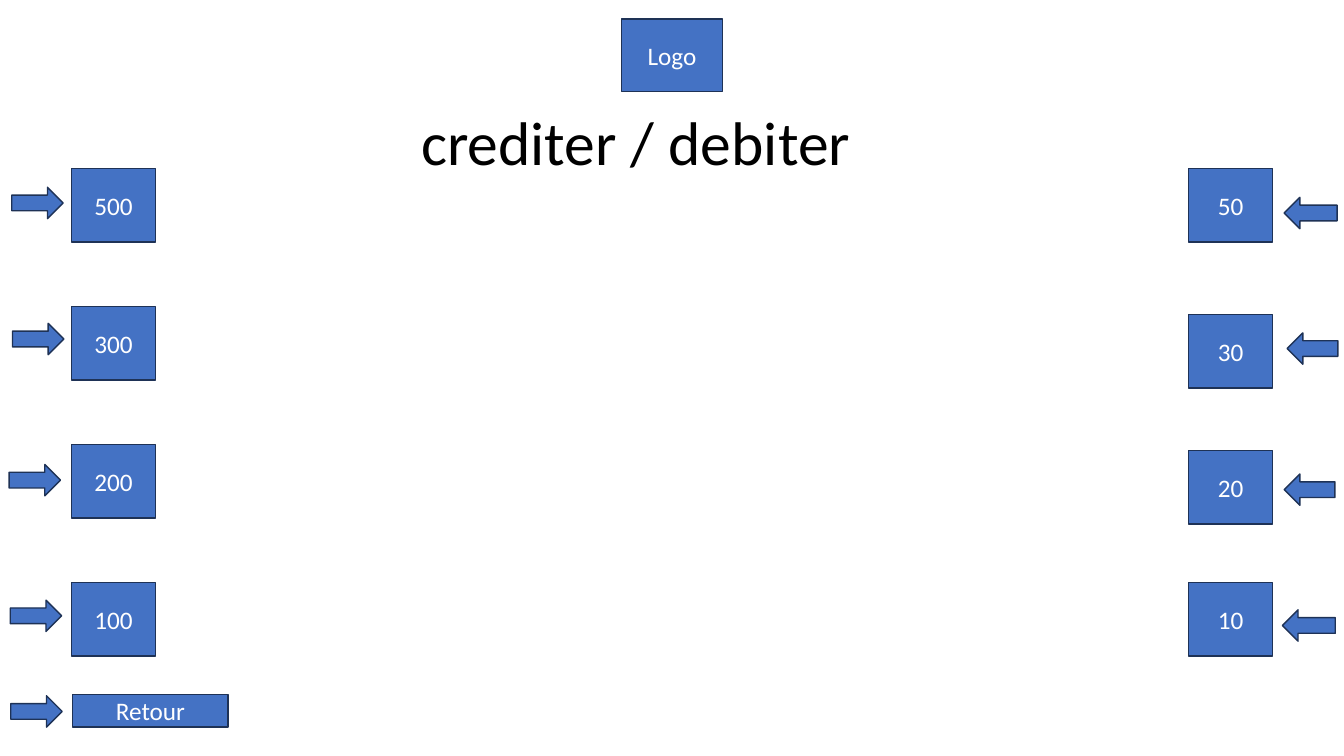
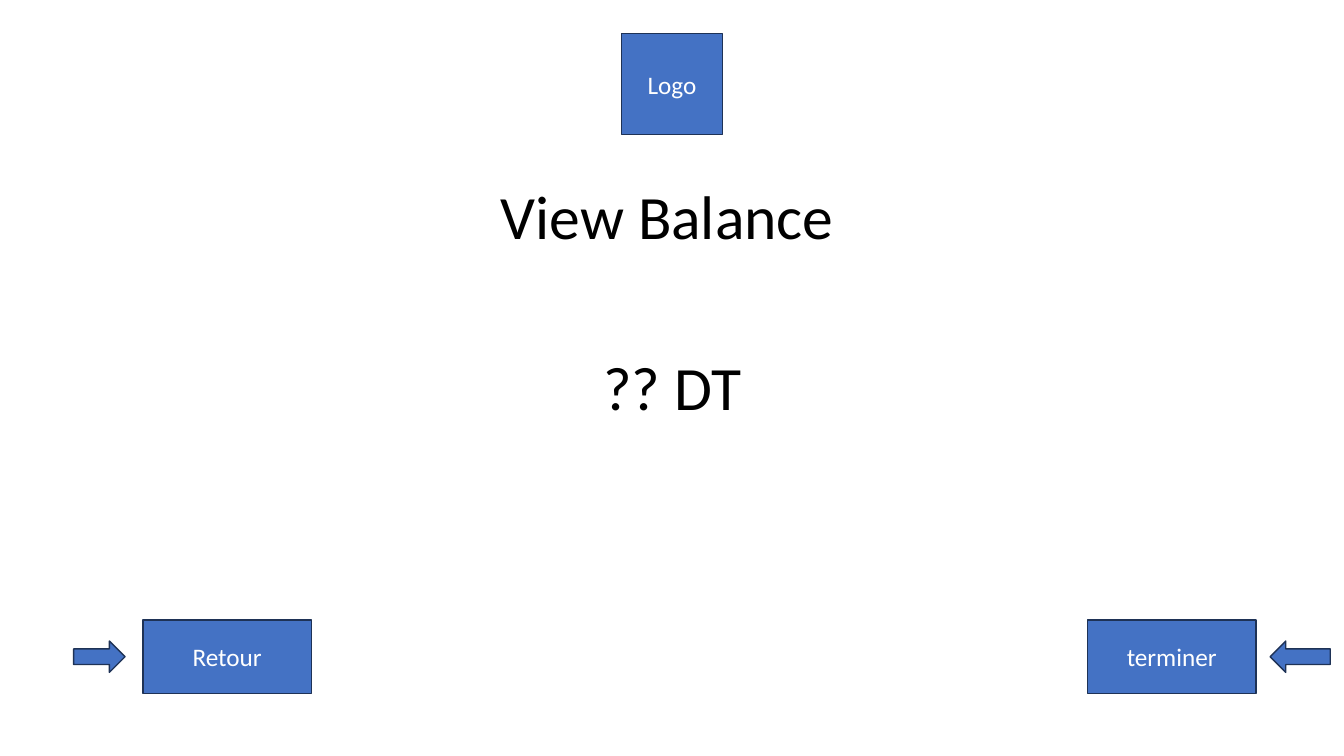
"""Build the two cash machine screens: amount choice and balance."""
from dataclasses import dataclass

from pptx import Presentation
from pptx.dml.color import RGBColor
from pptx.enum import shapes, text
from pptx.util import Pt


@dataclass(frozen=True)
class Theme:
    font: str = "Calibri"
    fill: str = "4472C4"
    line: str = "1E3256"
    light: str = "FFFFFF"
    dark: str = "000000"
    label: int = 18
    title: int = 44
    line_width: int = 1


THEME = Theme()
WIDTH, HEIGHT = 960, 540
LOGO_W, BUTTON_H, ARROW_H, TITLE_H = 72, 52.6, 22.4, 104.4
AMOUNT_W, ARROW_W, CHOICE_W = 60, 36.7, 120.2
LEFT_X, RIGHT_X = 51, 849
FIRST_Y, ROW_STEP = 120.2, 98.6
BALANCE_X, BALANCE_W, CHOICE_Y = 350.6, 259.2, 442.8

LEFT_AMOUNTS = ["500", "300", "200", "100"]
RIGHT_AMOUNTS = [("50", FIRST_Y), ("30", 224.6), ("20", 321.8),
                 ("10", FIRST_Y + 3 * ROW_STEP)]
LEFT_ARROWS = [(8.4, 133.8), (8.9, 231), (6.5, 331.8), (7.3, 428.7), (7.7, 497)]
RIGHT_ARROWS = [(917.3, 141, 37.8), (919.4, 237.8, 36.2),
                (917.3, 338.6, 36.2), (916, 435.6, 37.8)]
BALANCE_TEXTS = [("View Balance", 104.4, "LEFT"), ("?? DT", 226.8, "CENTER")]
CHOICES = [("Retour", 102.2), ("terminer", 776.9)]


def write(sp, words, size=THEME.label, color=THEME.light, align="CENTER", spacing=1.0):
    tf = sp.text_frame
    tf.word_wrap = True
    tf.vertical_anchor = text.MSO_ANCHOR.MIDDLE
    p = tf.paragraphs[0]
    p.alignment = getattr(text.PP_ALIGN, align)
    p.line_spacing = spacing
    r = p.add_run()
    r.text = words
    r.font.name, r.font.size = THEME.font, Pt(size)
    r.font.color.rgb = RGBColor.from_string(color)


def add_block(s, kind, x, y, w, h):
    sp = s.shapes.add_shape(kind, Pt(x), Pt(y), Pt(w), Pt(h))
    sp.shadow.inherit = False
    sp.fill.solid()
    sp.fill.fore_color.rgb = RGBColor.from_string(THEME.fill)
    sp.line.color.rgb = RGBColor.from_string(THEME.line)
    sp.line.width = Pt(THEME.line_width)
    return sp


def add_button(s, words, x, y, w, h=BUTTON_H):
    write(add_block(s, shapes.MSO_SHAPE.RECTANGLE, x, y, w, h), words)


def add_arrow(s, x, y, w=ARROW_W, kind=shapes.MSO_SHAPE.RIGHT_ARROW):
    add_block(s, kind, x, y, w, ARROW_H)


def add_title(s, words, x, y, w, align="LEFT"):
    sp = s.shapes.add_textbox(Pt(x), Pt(y), Pt(w), Pt(TITLE_H))
    write(sp, words, size=THEME.title, color=THEME.dark, align=align, spacing=0.9)


def add_screen(prs, logo_y, logo_h):
    s = prs.slides.add_slide(prs.slide_layouts[6])
    add_button(s, "Logo", (WIDTH - LOGO_W) / 2, logo_y, LOGO_W, logo_h)
    return s


def build_amounts(prs):
    s = add_screen(prs, 13.5, 52)
    add_title(s, "crediter / debiter", 293.8, 51.8, 444.2)
    for i, amount in enumerate(LEFT_AMOUNTS):
        add_button(s, amount, LEFT_X, FIRST_Y + i * ROW_STEP, AMOUNT_W)
    for amount, y in RIGHT_AMOUNTS:
        add_button(s, amount, RIGHT_X, y, AMOUNT_W)
    add_button(s, "Retour", 52, 496.2, 111, 23)
    for x, y in LEFT_ARROWS:
        add_arrow(s, x, y)
    for x, y, w in RIGHT_ARROWS:
        add_arrow(s, x, y, w, shapes.MSO_SHAPE.LEFT_ARROW)


def build_balance(prs):
    s = add_screen(prs, 24, LOGO_W)
    for words, y, align in BALANCE_TEXTS:
        add_title(s, words, BALANCE_X, y, BALANCE_W, align)
    for words, x in CHOICES:
        add_button(s, words, x, CHOICE_Y, CHOICE_W)
    arrow_y = CHOICE_Y + (BUTTON_H - ARROW_H) / 2
    add_arrow(s, 52.6, arrow_y)
    add_arrow(s, 907.2, arrow_y, 43, shapes.MSO_SHAPE.LEFT_ARROW)


def main():
    prs = Presentation()
    prs.slide_width, prs.slide_height = Pt(WIDTH), Pt(HEIGHT)
    build_amounts(prs)
    build_balance(prs)
    prs.save("out.pptx")


if __name__ == "__main__":
    main()
